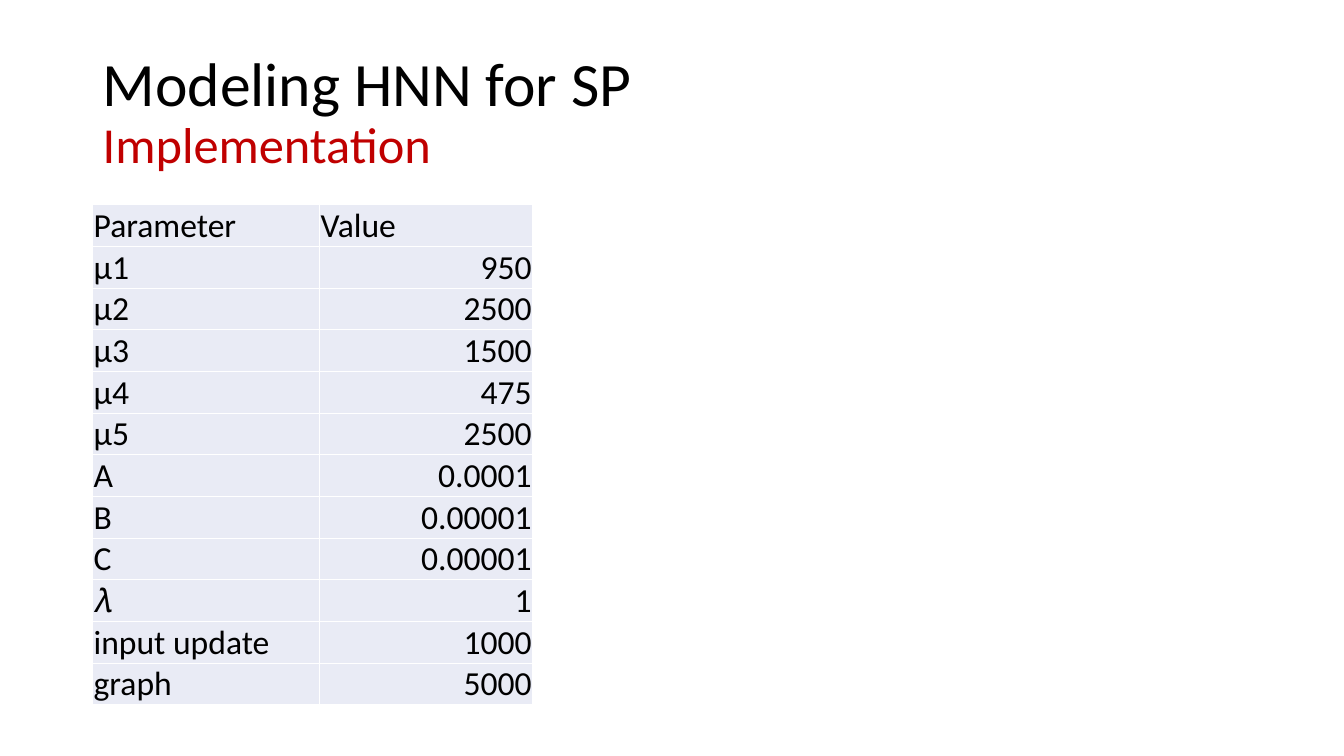
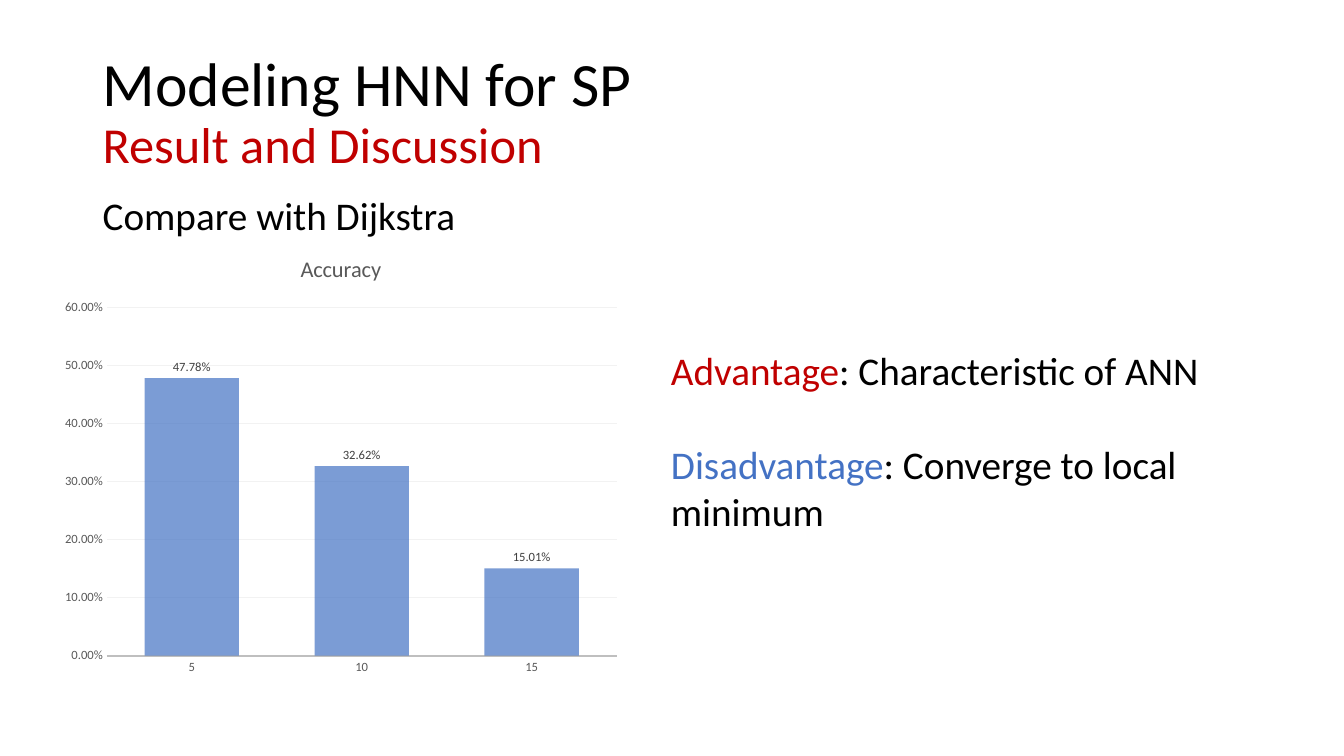
from dataclasses import dataclass

from lxml import etree
from pptx import Presentation
from pptx.chart.data import CategoryChartData
from pptx.dml.color import RGBColor
from pptx.enum.chart import XL_CHART_TYPE, XL_LABEL_POSITION, XL_TICK_MARK
from pptx.enum.text import MSO_ANCHOR, PP_ALIGN
from pptx.oxml import parse_xml
from pptx.oxml.ns import nsdecls, qn
from pptx.util import Cm, Pt

COLUMN_CLUSTERED = XL_CHART_TYPE.COLUMN_CLUSTERED
OUTSIDE_END = XL_LABEL_POSITION.OUTSIDE_END
NO_TICK = XL_TICK_MARK.NONE
TOP, MIDDLE, BOTTOM = MSO_ANCHOR.TOP, MSO_ANCHOR.MIDDLE, MSO_ANCHOR.BOTTOM
LEFT, RIGHT = PP_ALIGN.LEFT, PP_ALIGN.RIGHT


@dataclass(frozen=True)
class Theme:
    font: str = "Calibri"
    text: str = "000000"
    red: str = "C00000"
    blue: str = "4472C4"
    white: str = "FFFFFF"
    cell: str = "E9EBF5"
    axis_text: str = "595959"
    label_text: str = "404040"
    axis_line: str = "BFBFBF"
    grid: str = "F2F2F2"
    title_size: int = 44
    subtitle_size: int = 36
    body_size: int = 28
    table_size: int = 24
    chart_title_size: int = 16
    chart_size: int = 9
    margin: float = 2.34


THEME = Theme()

PARAMETERS = [
    ("Parameter", "Value"),
    ("µ1", "950"),
    ("µ2", "2500"),
    ("µ3", "1500"),
    ("µ4", "475"),
    ("µ5", "2500"),
    ("A", "0.0001"),
    ("B", "0.00001"),
    ("C", "0.00001"),
    ("𝜆", "1"),
    ("input update", "1000"),
    ("graph", "5000"),
]
ACCURACY = {"5": 0.4778, "10": 0.3262, "15": 0.1501}


def style_font(font, size, color):
    font.name = THEME.font
    font.size = Pt(size)
    font.bold = False
    font.color.rgb = RGBColor.from_string(color)


def write_text(frame, paragraphs, size=THEME.body_size, align=LEFT,
               anchor=TOP, line_spacing=1.0, gap=0):
    frame.word_wrap = True
    frame.vertical_anchor = anchor
    for index, runs in enumerate(paragraphs):
        paragraph = frame.add_paragraph() if index else frame.paragraphs[0]
        paragraph.alignment = align
        paragraph.line_spacing = line_spacing
        paragraph.space_before = Pt(gap if index else 0)
        for text, color, *own_size in runs:
            run = paragraph.add_run()
            run.text = text
            style_font(run.font, own_size[0] if own_size else size, color)


def add_text(slide, left, top, width, height, paragraphs, **text_format):
    box = slide.shapes.add_textbox(Cm(left), Cm(top), Cm(width), Cm(height))
    write_text(box.text_frame, paragraphs, **text_format)


def add_titled_slide(presentation, subtitle):
    slide = presentation.slides.add_slide(presentation.slide_layouts[6])
    add_text(slide, THEME.margin, 1.02, 29.21, 3.68, [
        [("Modeling HNN for SP", THEME.text, THEME.title_size)],
        [(subtitle, THEME.red, THEME.subtitle_size)],
    ], anchor=MIDDLE, line_spacing=0.9)
    return slide


def set_cell_borders(cell, color, width):
    properties = cell._tc.get_or_add_tcPr()
    for index, side in enumerate(("lnL", "lnR", "lnT", "lnB")):
        properties.insert(index, parse_xml(
            f'<a:{side} {nsdecls("a")} w="{Pt(width)}"><a:solidFill>'
            f'<a:srgbClr val="{color}"/></a:solidFill></a:{side}>'))


def add_table(slide, left, top, column_widths, row_height, rows):
    table = slide.shapes.add_table(
        len(rows), len(column_widths), Cm(left), Cm(top),
        Cm(sum(column_widths)), Cm(row_height * len(rows))).table
    table.first_row = False
    table.horz_banding = False
    for column, width in zip(table.columns, column_widths):
        column.width = Cm(width)
    for row_index, values in enumerate(rows):
        table.rows[row_index].height = Cm(row_height)
        for column_index, value in enumerate(values):
            cell = table.cell(row_index, column_index)
            cell.margin_left = cell.margin_right = cell.margin_top = Cm(0.02)
            cell.margin_bottom = 0
            cell.vertical_anchor = BOTTOM
            cell.fill.solid()
            cell.fill.fore_color.rgb = RGBColor.from_string(THEME.cell)
            set_cell_borders(cell, THEME.white, 1)
            write_text(cell.text_frame, [[(value, THEME.text)]],
                       size=THEME.table_size, anchor=BOTTOM,
                       align=RIGHT if row_index and column_index else LEFT)


def style_line(line, color, width):
    line.color.rgb = RGBColor.from_string(color)
    line.width = Pt(width)


def style_axis(axis):
    axis.major_tick_mark = axis.minor_tick_mark = NO_TICK
    style_font(axis.tick_labels.font, THEME.chart_size, THEME.axis_text)


def set_alpha(fill_format, shape_properties, color, percent):
    fill_format.solid()
    fill_format.fore_color.rgb = RGBColor.from_string(color)
    color_element = shape_properties.find(".//" + qn("a:srgbClr"))
    etree.SubElement(color_element, qn("a:alpha"), val=str(percent * 1000))


def add_column_chart(slide, left, top, width, height, title, values):
    data = CategoryChartData(number_format="0.00%")
    data.categories = list(values)
    data.add_series(title, list(values.values()))
    chart = slide.shapes.add_chart(
        COLUMN_CLUSTERED, Cm(left), Cm(top), Cm(width), Cm(height), data).chart
    style_font(chart.font, THEME.chart_size, THEME.axis_text)
    chart.has_legend = False
    chart.has_title = True
    write_text(chart.chart_title.text_frame, [[(title, THEME.axis_text)]],
               size=THEME.chart_title_size)
    chart.chart_title.include_in_layout = False

    style_axis(chart.category_axis)
    style_line(chart.category_axis.format.line, THEME.axis_line, 1.25)
    value_axis = chart.value_axis
    style_axis(value_axis)
    value_axis.format.line.fill.background()
    value_axis.minimum_scale, value_axis.maximum_scale = 0, 0.6
    value_axis.major_unit = 0.1
    value_axis.tick_labels.number_format = "0.00%"
    value_axis.tick_labels.number_format_is_linked = False
    style_line(value_axis.major_gridlines.format.line, THEME.grid, 0.75)

    plot = chart.plots[0]
    plot.gap_width = 80
    plot.overlap = 25
    plot.vary_by_categories = False
    series = plot.series[0]
    series_format = series.format
    set_alpha(series_format.fill, series._element.spPr, THEME.blue, 70)
    labels = series.data_labels
    labels.show_value = True
    labels.position = OUTSIDE_END
    labels.number_format = "0.00%"
    labels.number_format_is_linked = False
    style_font(labels.font, THEME.chart_size, THEME.label_text)


def add_implementation_slide(presentation):
    slide = add_titled_slide(presentation, "Implementation")
    add_table(slide, THEME.margin, 5.16, (5.72, 5.36), 1.05, PARAMETERS)


def add_result_slide(presentation):
    slide = add_titled_slide(presentation, "Result and Discussion")
    add_text(slide, THEME.margin, 4.7, 10.77, 1.45,
             [[("Compare with Dijkstra", THEME.text)]])
    add_text(slide, 16.66, 8.59, 15.98, 5.05, [
        [("Advantage", THEME.red), (": Characteristic of ANN", THEME.text)],
        [("Disadvantage", THEME.blue),
         (": Converge to local minimum", THEME.text)],
    ], gap=34)
    add_column_chart(slide, 1.35, 5.94, 14.48, 11.28, "Accuracy", ACCURACY)


def main():
    presentation = Presentation()
    presentation.slide_width = Cm(33.87)
    presentation.slide_height = Cm(19.05)
    add_implementation_slide(presentation)
    add_result_slide(presentation)
    presentation.save("out.pptx")


if __name__ == "__main__":
    main()
